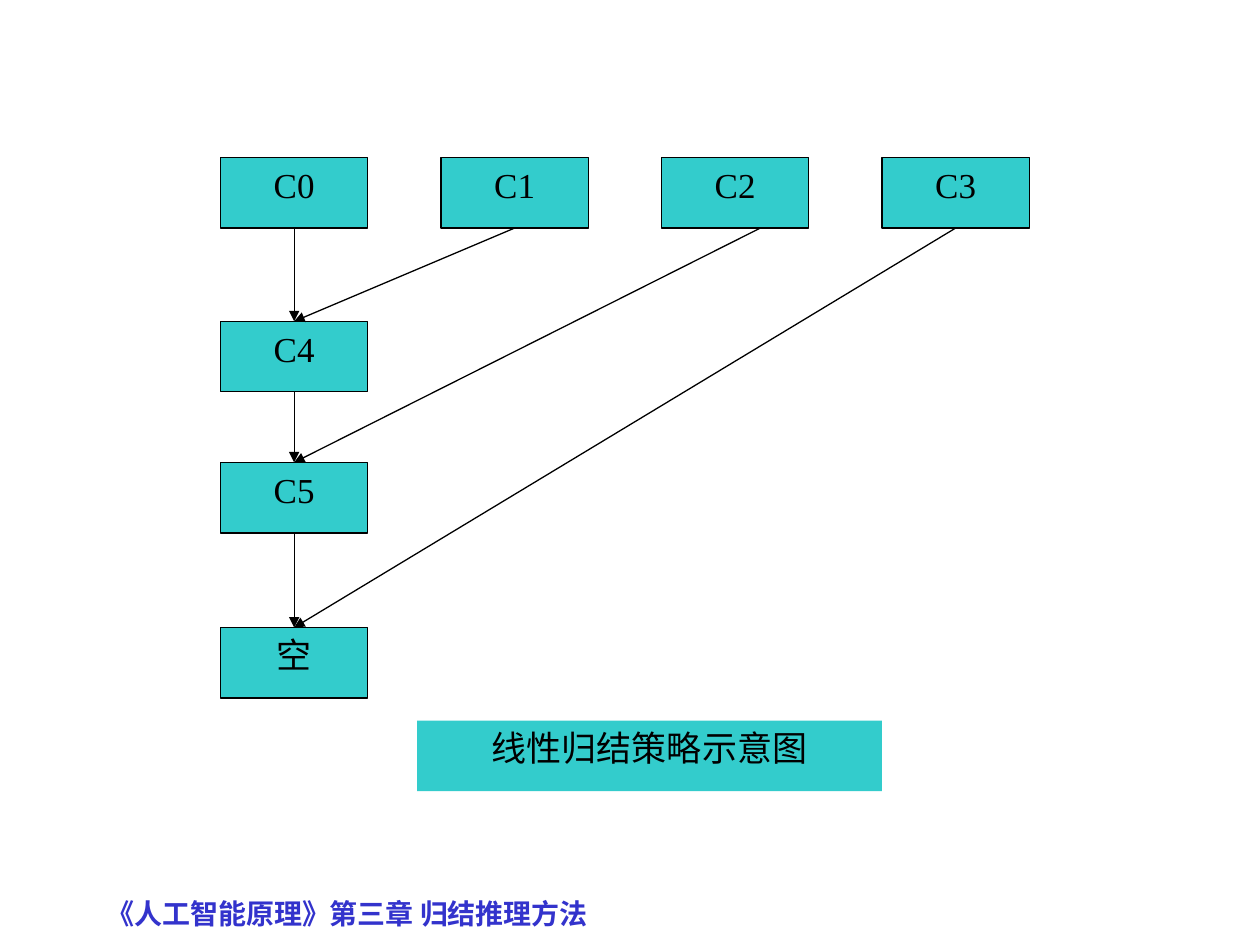
from dataclasses import dataclass

from lxml import etree
from pptx import Presentation
from pptx.dml.color import RGBColor
from pptx.enum.shapes import MSO_CONNECTOR, MSO_SHAPE
from pptx.enum.text import MSO_ANCHOR, PP_ALIGN
from pptx.oxml.ns import qn
from pptx.util import Inches, Pt

RECTANGLE = MSO_SHAPE.RECTANGLE
STRAIGHT = MSO_CONNECTOR.STRAIGHT
TOP, CENTER, LEFT = MSO_ANCHOR.TOP, PP_ALIGN.CENTER, PP_ALIGN.LEFT
TOP_SITE, BOTTOM_SITE = 0, 2


@dataclass(frozen=True)
class Theme:
    box: RGBColor = RGBColor(0x33, 0xCC, 0xCC)
    ink: RGBColor = RGBColor(0, 0, 0)
    footer: RGBColor = RGBColor(0x33, 0x33, 0xCC)
    line: Pt = Pt(0.75)
    box_size: Pt = Pt(20)
    footer_size: Pt = Pt(16)
    box_font: str = "Times New Roman"
    footer_font: str = "Noto Sans CJK JP"


theme = Theme()
BOX_WIDTH, BOX_HEIGHT = 1.17, 0.56
LEFT_COLUMN, COLUMN_STEP, TOP_ROW = 1.75, 1.75, 1.25


def add_box(text, left, top, width=BOX_WIDTH, outlined=True):
    box = slide.shapes.add_shape(
        RECTANGLE, Inches(left), Inches(top), Inches(width), Inches(BOX_HEIGHT))
    box.shadow.inherit = False
    box.fill.solid()
    box.fill.fore_color.rgb = theme.box
    if outlined:
        box.line.color.rgb = theme.ink
        box.line.width = theme.line
    else:
        box.line.fill.background()
    box.text_frame.vertical_anchor = TOP
    label = box.text_frame.paragraphs[0]
    label.text = text
    label.alignment = CENTER
    label.font.name = theme.box_font
    label.font.size = theme.box_size
    label.font.color.rgb = theme.ink
    return box


def add_arrow(source, target, start_shift=0):
    """Point from the bottom of source to the top of target; a shifted start is not joined."""
    arrow = slide.shapes.add_connector(
        STRAIGHT,
        source.left + source.width // 2 + Inches(start_shift), source.top + source.height,
        target.left + target.width // 2, target.top)
    if not start_shift:
        arrow.begin_connect(source, BOTTOM_SITE)
    arrow.end_connect(target, TOP_SITE)
    arrow.line.color.rgb = theme.ink
    arrow.line.width = theme.line
    etree.SubElement(arrow.line._get_or_add_ln(), qn("a:tailEnd"), type="triangle")
    etree.SubElement(arrow._element.spPr, qn("a:effectLst"))


prs = Presentation()
prs.slide_width, prs.slide_height = Inches(10), Inches(7.5)
slide = prs.slides.add_slide(prs.slide_layouts[6])

# Footer
footer = slide.shapes.add_textbox(Inches(0.75), Inches(6.83), Inches(5.83), Inches(0.5))
footer.text_frame.word_wrap = True
footer.text_frame.margin_top = Inches(0.3)
footer.text_frame.margin_bottom = 0
chapter = footer.text_frame.paragraphs[0]
chapter.text = "《人工智能原理》第三章 归结推理方法"
chapter.alignment = LEFT
chapter.font.name = theme.footer_font
chapter.font.size = theme.footer_size
chapter.font.bold = True
chapter.font.color.rgb = theme.footer
etree.SubElement(chapter._p.pPr.find(qn("a:defRPr")), qn("a:ea"), typeface=theme.footer_font)

# Starting clauses along the top row
clauses = [add_box(f"C{i}", LEFT_COLUMN + i * COLUMN_STEP, TOP_ROW) for i in range(4)]

# Each resolvent follows from the one above it and one side clause
center_clause = clauses[0]
steps = [("C4", 2.55, 0), ("C5", 3.67, 0.2), ("空", 4.98, 0)]
for side_clause, (name, top, start_shift) in zip(clauses[1:], steps):
    resolvent = add_box(name, LEFT_COLUMN, top)
    add_arrow(center_clause, resolvent)
    add_arrow(side_clause, resolvent, start_shift)
    center_clause = resolvent

# Caption
add_box("线性归结策略示意图", 3.31, 5.72, width=3.69, outlined=False)

prs.save("out.pptx")
